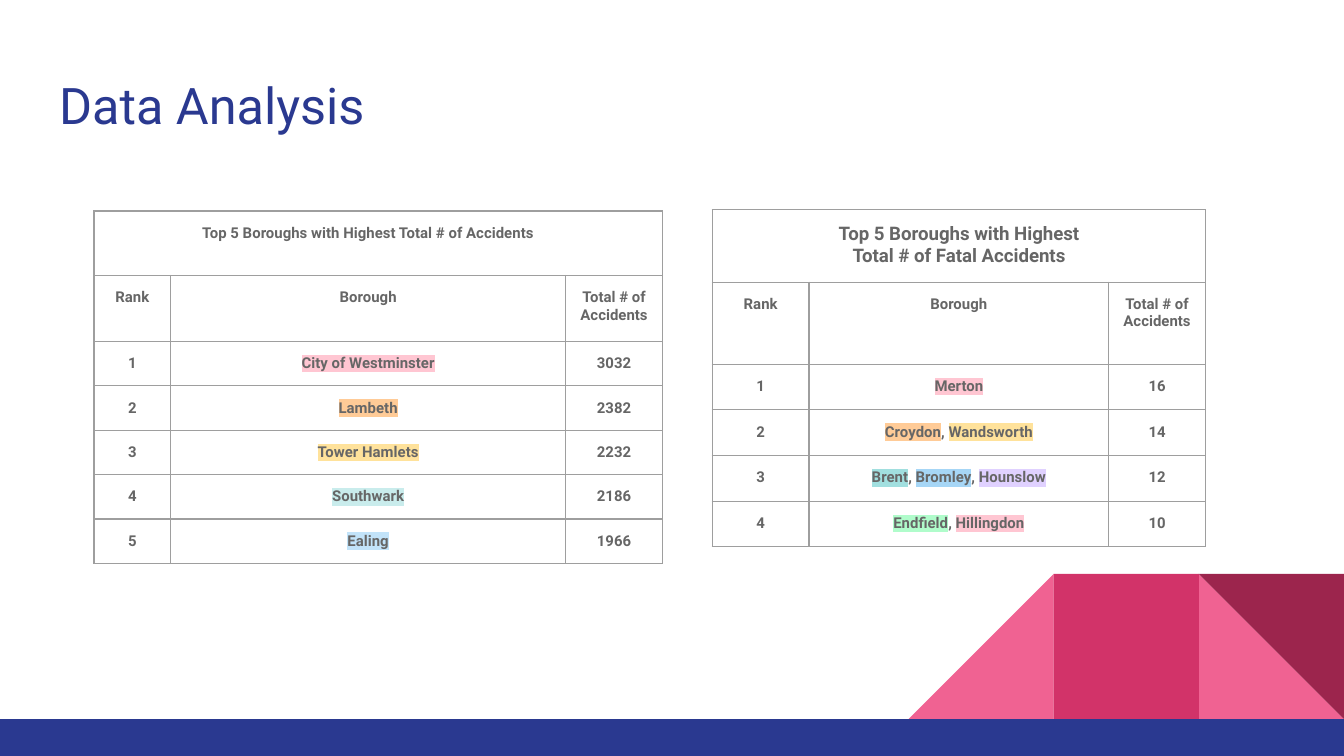
from lxml.etree import SubElement
from pptx import Presentation
from pptx.dml.color import RGBColor
from pptx.enum.shapes import MSO_SHAPE
from pptx.enum.text import MSO_ANCHOR, PP_ALIGN
from pptx.oxml.ns import qn
from pptx.util import Inches, Pt

COLORS = {
    "white": "FFFFFF", "navy": "2A3990", "gray": "666666", "border": "9E9E9E",
    "light_pink": "F06292", "pink": "D23369", "wine": "9C254D",
    "rose": "FFC6D2", "orange": "FFCB97", "yellow": "FFE29B",
    "teal": "A1DFDF", "blue": "A6D6F6", "purple": "E0D1FF", "green": "B0FCCB",
    "pale_teal": "C9ECEC", "pale_blue": "C2E3F9",
}
FONT = "Roboto"
NO_STYLE = "{2D5ABB26-0587-4C30-8999-92F81FD0307C}"
HEADINGS = ["Rank", "Borough", "Total # of Accidents"]
TOTAL_ACCIDENTS = [
    ([("City of Westminster", "rose")], 3032),
    ([("Lambeth", "orange")], 2382),
    ([("Tower Hamlets", "yellow")], 2232),
    ([("Southwark", "pale_teal")], 2186),
    ([("Ealing", "pale_blue")], 1966),
]
FATAL_ACCIDENTS = [
    ([("Merton", "rose")], 16),
    ([("Croydon", "orange"), ("Wandsworth", "yellow")], 14),
    ([("Brent", "teal"), ("Bromley", "blue"), ("Hounslow", "purple")], 12),
    ([("Endfield", "green"), ("Hillingdon", "rose")], 10),
]


def color(name):
    return RGBColor.from_string(COLORS[name])


def add_block(slide, kind, left, top, width, height, fill, rotation=0):
    shape = slide.shapes.add_shape(
        kind, Inches(left), Inches(top), Inches(width), Inches(height))
    shape.shadow.inherit = False
    shape.fill.solid()
    shape.fill.fore_color.rgb = color(fill)
    shape.line.fill.background()
    shape.rotation = rotation


def add_decoration(slide, left, top, side):
    triangle = MSO_SHAPE.RIGHT_TRIANGLE
    blocks = [
        (triangle, 2, "light_pink", 0),
        (triangle, 0, "light_pink", 270),
        (MSO_SHAPE.RECTANGLE, 1, "pink", 0),
        (triangle, 2, "wine", 180),
    ]
    for kind, column, fill, rotation in blocks:
        add_block(slide, kind, left + column * side, top, side, side, fill, rotation)


def set_title(slide, text, left, top, width, height):
    title = slide.shapes.title
    title.left, title.top = Inches(left), Inches(top)
    title.width, title.height = Inches(width), Inches(height)
    frame = title.text_frame
    frame.text = text
    frame.word_wrap = True
    frame.vertical_anchor = MSO_ANCHOR.MIDDLE
    frame.margin_left = frame.margin_right = Inches(0.1)
    frame.margin_top = frame.margin_bottom = Inches(0.1)
    paragraph = frame.paragraphs[0]
    paragraph.alignment = PP_ALIGN.LEFT
    paragraph.font.name = FONT
    paragraph.font.size = Pt(27)
    paragraph.font.color.rgb = color("navy")


def add_borders(cell, sides):
    properties = cell._tc.get_or_add_tcPr()
    for side in "LRTB":
        line = SubElement(properties, qn(f"a:ln{side}"), w=str(Pt(0.75)))
        if side in sides:
            fill = SubElement(line, qn("a:solidFill"))
            SubElement(fill, qn("a:srgbClr"), val=COLORS["border"])
        else:
            SubElement(line, qn("a:noFill"))


def add_run(paragraph, text, highlight=None):
    run = paragraph.add_run()
    run.text = text
    if highlight:
        element = SubElement(run._r.get_or_add_rPr(), qn("a:highlight"))
        SubElement(element, qn("a:srgbClr"), val=COLORS[highlight])


def fill_cell(cell, parts, size, sides="LRTB"):
    add_borders(cell, sides)
    cell.fill.solid()
    cell.fill.fore_color.rgb = color("white")
    cell.margin_left = cell.margin_right = Inches(0.1)
    cell.margin_top = cell.margin_bottom = Inches(0.1)
    paragraph = cell.text_frame.paragraphs[0]
    paragraph.alignment = PP_ALIGN.CENTER
    paragraph.font.name = FONT
    paragraph.font.size = Pt(size)
    paragraph.font.bold = True
    paragraph.font.color.rgb = color("gray")
    for index, (text, highlight) in enumerate(parts):
        if index:
            add_run(paragraph, ", ")
        add_run(paragraph, text, highlight)


def add_ranking(slide, left, top, widths, heights, heading, heading_size, ranking):
    title_height, header_height, row_height = heights
    row_heights = [title_height, header_height] + [row_height] * len(ranking)
    frame = slide.shapes.add_table(
        len(row_heights), len(widths), Inches(left), Inches(top),
        Inches(sum(widths)), Inches(sum(row_heights)))
    table = frame.table
    table.first_row = table.horz_banding = False
    table._tbl.tblPr.find(qn("a:tableStyleId")).text = NO_STYLE
    for column, width in zip(table.columns, widths):
        column.width = Inches(width)
    for row, height in zip(table.rows, row_heights):
        row.height = Inches(height)

    fill_cell(table.cell(0, 0), [], heading_size, "LTB")
    fill_cell(table.cell(0, 1), [(heading, None)], heading_size, "TB")
    fill_cell(table.cell(0, 2), [], heading_size, "RTB")
    rows = [[[(text, None)] for text in HEADINGS]]
    for rank, (boroughs, total) in enumerate(ranking, 1):
        rows.append([[(str(rank), None)], boroughs, [(str(total), None)]])
    for row_index, row in enumerate(rows, 1):
        for column_index, parts in enumerate(row):
            fill_cell(table.cell(row_index, column_index), parts, 8)


def main():
    presentation = Presentation()
    presentation.slide_width = Inches(10)
    presentation.slide_height = Inches(10 * 9 / 16)
    slide = presentation.slides.add_slide(presentation.slide_layouts[5])
    add_decoration(slide, 6.76, 4.27, 1.08)
    add_block(slide, MSO_SHAPE.RECTANGLE, 0, 5.35, 10, 0.28, "navy")
    add_ranking(slide, 5.3, 1.56, [0.72, 2.23, 0.72], [0.54, 0.61, 0.34],
                "Top 5 Boroughs with Highest Total # of Fatal Accidents",
                10, FATAL_ACCIDENTS)
    add_ranking(slide, 0.7, 1.57, [0.57, 2.94, 0.72], [0.48, 0.49, 0.33],
                "Top 5 Boroughs with Highest Total # of Accidents",
                8, TOTAL_ACCIDENTS)
    set_title(slide, "Data Analysis", 0.34, 0.45, 9.32, 0.66)
    presentation.save("out.pptx")


if __name__ == "__main__":
    main()
